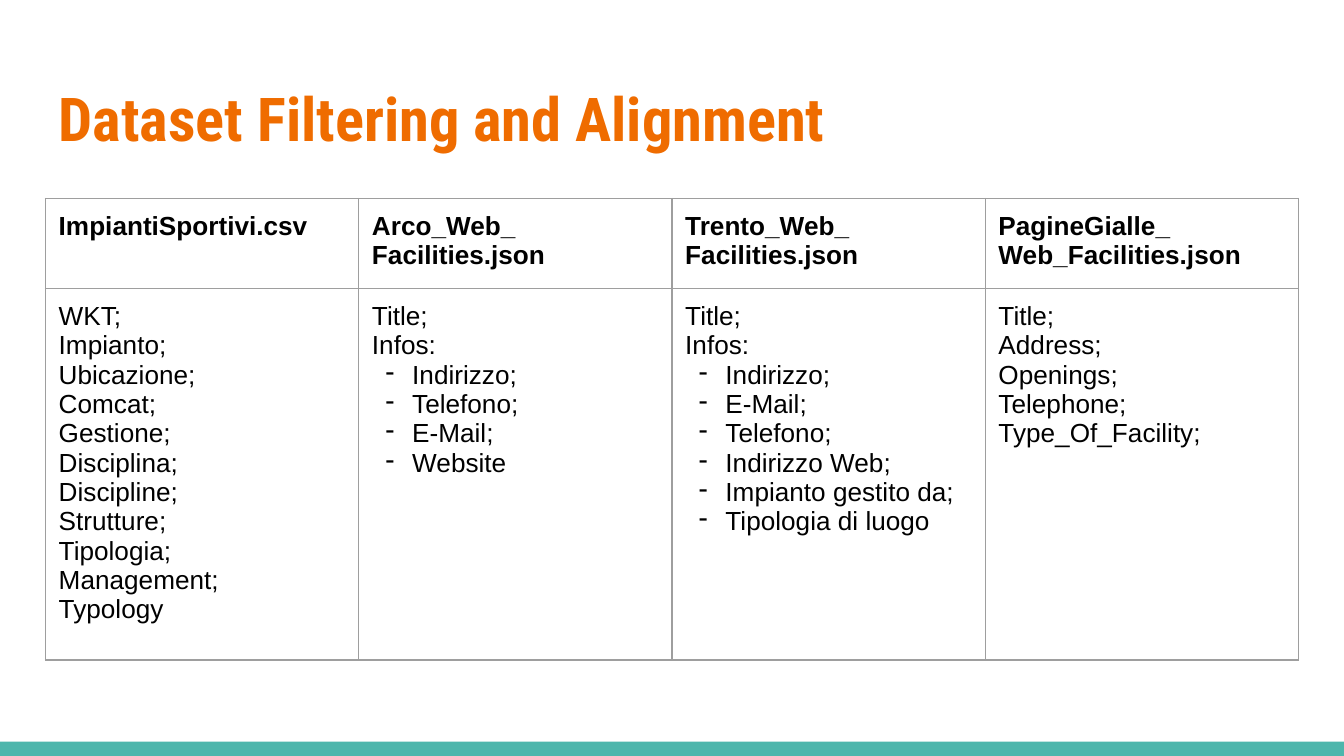
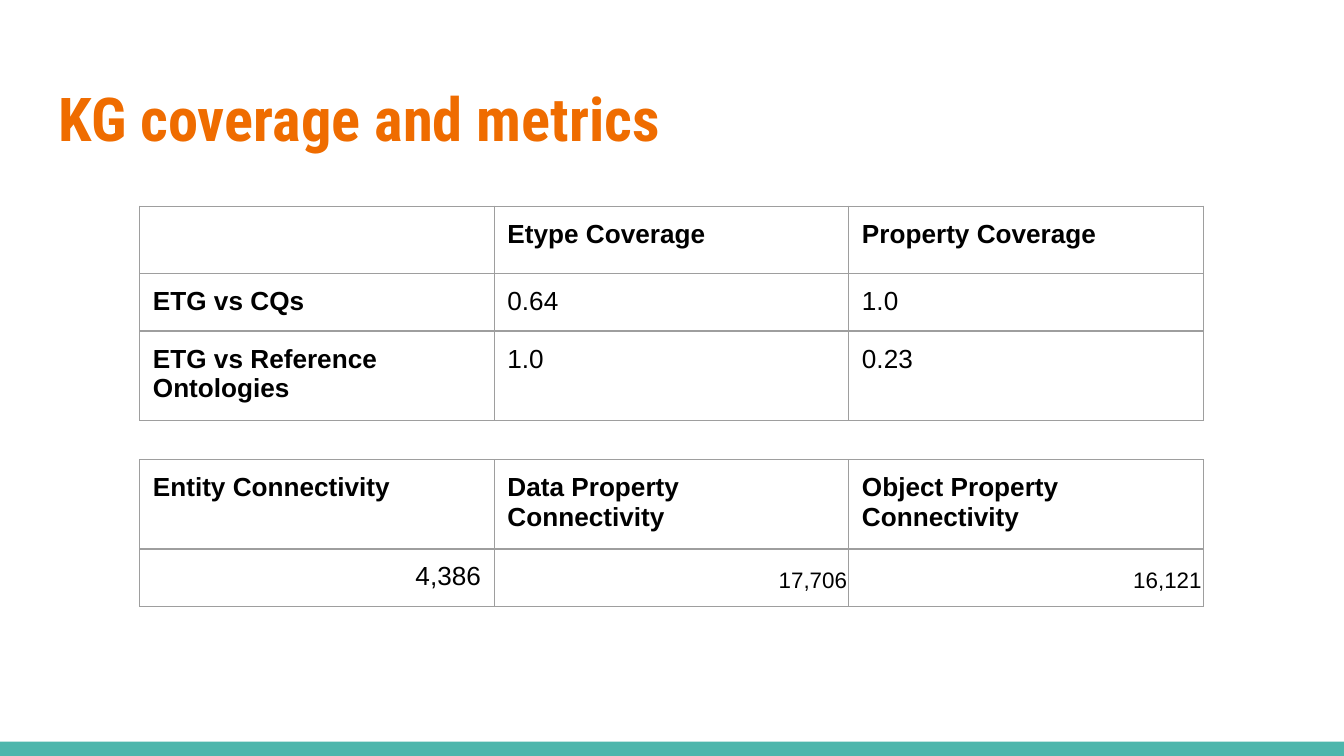
from dataclasses import dataclass

from lxml import etree
from pptx import Presentation, slide as sl, table as tb
from pptx import util as u
from pptx.dml import color
from pptx.enum import shapes, text
from pptx.oxml import ns

HUES = {"title": "EF6C00", "band": "4DB6AC", "ink": "000000",
        "rule": "9E9E9E", "page": "FFFFFF"}
BODY, HEAD = "Arial", "Roboto Condensed"
WIDE, HIGH = 25.4, 14.29
EDGE = 0.86
PAD = 0.25


@dataclass(frozen=True)
class Look:
    bold: bool = False
    size: float = 14
    right: bool = False
    low: bool = False  # at the cell's foot, with slim margins and looser lines


@dataclass(frozen=True)
class Cell:
    lines: tuple[str, ...] = ()
    items: tuple[str, ...] = ()
    look: Look = Look()


@dataclass(frozen=True)
class Grid:
    left: float
    top: float
    col: float
    rows: tuple[float, ...]
    cells: tuple[tuple[Cell, ...], ...]


@dataclass(frozen=True)
class Page:
    title: str
    grids: tuple[Grid, ...]


BOLD = Look(bold=True)
TOTAL = Look(right=True)
SMALL = Look(size=12, right=True, low=True)


def bold(*lines: str) -> Cell:
    return Cell(lines, look=BOLD)


def plain(*lines: str) -> Cell:
    return Cell(lines)


def infos(*items: str) -> Cell:
    return Cell(("Title;", "Infos:"), items)


PAGES = (
    Page("Dataset Filtering and Alignment", (
        Grid(EDGE, 3.75, 5.92, (1.7, 6.61), (
            (bold("ImpiantiSportivi.csv"),
             bold("Arco_Web_", "Facilities.json"),
             bold("Trento_Web_", "Facilities.json"),
             bold("PagineGialle_", "Web_Facilities.json")),
            (plain("WKT;", "Impianto;", "Ubicazione;", "Comcat;", "Gestione;",
                   "Disciplina;", "Discipline;", "Strutture;", "Tipologia;",
                   "Management;", "Typology"),
             infos("Indirizzo;", "Telefono;", "E-Mail;", "Website"),
             infos("Indirizzo;", "E-Mail;", "Telefono;", "Indirizzo Web;",
                   "Impianto gestito da;", "Tipologia di luogo"),
             plain("Title;", "Address;", "Openings;", "Telephone;",
                   "Type_Of_Facility;")),
        )),
    )),
    Page("KG coverage and metrics", (
        Grid(2.64, 3.9, 6.7, (1.2, 1.07, 1.62), (
            (Cell(), bold("Etype Coverage"), bold("Property Coverage")),
            (bold("ETG vs CQs"), plain("0.64"), plain("1.0")),
            (bold("ETG vs Reference Ontologies"), plain("1.0"), plain("0.23")),
        )),
        Grid(2.64, 8.69, 6.7, (1.61, 1.07), (
            (bold("Entity Connectivity"), bold("Data Property Connectivity"),
             bold("Object Property Connectivity")),
            (Cell(("4,386",), look=TOTAL), Cell(("17,706",), look=SMALL),
             Cell(("16,121",), look=SMALL)),
        )),
    )),
)


def rgb(name: str) -> color.RGBColor:
    return color.RGBColor.from_string(HUES[name])


def write(para, words: str, face: str, size: float, hue: str, heavy: bool) -> None:
    run = para.add_run()
    run.text = words
    font = run.font
    font.name, font.size, font.bold = face, u.Pt(size), heavy
    font.color.rgb = rgb(hue)


def dash(para) -> None:
    """Give the paragraph a hanging dash as its bullet."""
    props = para._p.get_or_add_pPr()
    props.set("marL", str(u.Cm(0.76)))
    props.set("indent", str(-u.Cm(0.5)))
    tint = etree.SubElement(props, ns.qn("a:buClr"))
    etree.SubElement(tint, ns.qn("a:srgbClr"), val=HUES["ink"])
    etree.SubElement(props, ns.qn("a:buChar"), char="-")


def rule(cell: tb._Cell) -> None:
    """Line all four sides of the cell."""
    props = cell._tc.get_or_add_tcPr()
    for spot, side in enumerate("LRTB"):
        line = etree.Element(ns.qn(f"a:ln{side}"), w=str(u.Pt(0.75)))
        fill = etree.SubElement(line, ns.qn("a:solidFill"))
        etree.SubElement(fill, ns.qn("a:srgbClr"), val=HUES["rule"])
        props.insert(spot, line)


def fill(cell: tb._Cell, data: Cell) -> None:
    look = data.look
    slim = u.Cm(0.03 if look.low else PAD)
    cell.margin_left = cell.margin_right = cell.margin_top = slim
    cell.margin_bottom = u.Cm(PAD)
    cell.vertical_anchor = text.MSO_ANCHOR.BOTTOM if look.low else text.MSO_ANCHOR.TOP
    cell.fill.background()
    rule(cell)
    frame = cell.text_frame
    for spot, words in enumerate(data.lines + data.items):
        para = frame.add_paragraph() if spot else frame.paragraphs[0]
        if spot >= len(data.lines):
            dash(para)
        if look.right:
            para.alignment = text.PP_ALIGN.RIGHT
        if look.low:
            para.line_spacing = 1.15
        write(para, words, BODY, look.size, "ink", look.bold)


def draw(slide: sl.Slide, grid: Grid) -> None:
    count = len(grid.cells[0])
    table = slide.shapes.add_table(
        len(grid.rows), count, u.Cm(grid.left), u.Cm(grid.top),
        u.Cm(grid.col * count), u.Cm(sum(grid.rows))).table
    table.first_row = table.horz_banding = False
    for col in table.columns:
        col.width = u.Cm(grid.col)
    for y, (tall, row) in enumerate(zip(grid.rows, grid.cells)):
        table.rows[y].height = u.Cm(tall)
        for x, data in enumerate(row):
            fill(table.cell(y, x), data)


def frame(slide: sl.Slide, title: str) -> None:
    """Draw what all slides share: page colour, foot band and title."""
    back = slide.background.fill
    back.solid()
    back.fore_color.rgb = rgb("page")
    band = slide.shapes.add_shape(
        shapes.MSO_SHAPE.RECTANGLE, 0, u.Cm(14.02), u.Cm(WIDE), u.Cm(HIGH - 14.02))
    band.shadow.inherit = False
    band.fill.solid()
    band.fill.fore_color.rgb = rgb("band")
    band.line.fill.background()
    box = slide.shapes.add_textbox(
        u.Cm(EDGE), u.Cm(1.24), u.Cm(WIDE - 2 * EDGE), u.Cm(1.96)).text_frame
    box.word_wrap = True
    box.vertical_anchor = text.MSO_ANCHOR.MIDDLE
    box.margin_left = box.margin_right = u.Cm(PAD)
    box.margin_top = box.margin_bottom = u.Cm(PAD)
    write(box.paragraphs[0], title, HEAD, 32.4, "title", True)


def main() -> None:
    deck = Presentation()
    deck.slide_width, deck.slide_height = u.Cm(WIDE), u.Cm(HIGH)
    for page in PAGES:
        slide = deck.slides.add_slide(deck.slide_layouts[6])
        frame(slide, page.title)
        for grid in page.grids:
            draw(slide, grid)
    deck.save("out.pptx")


if __name__ == "__main__":
    main()
